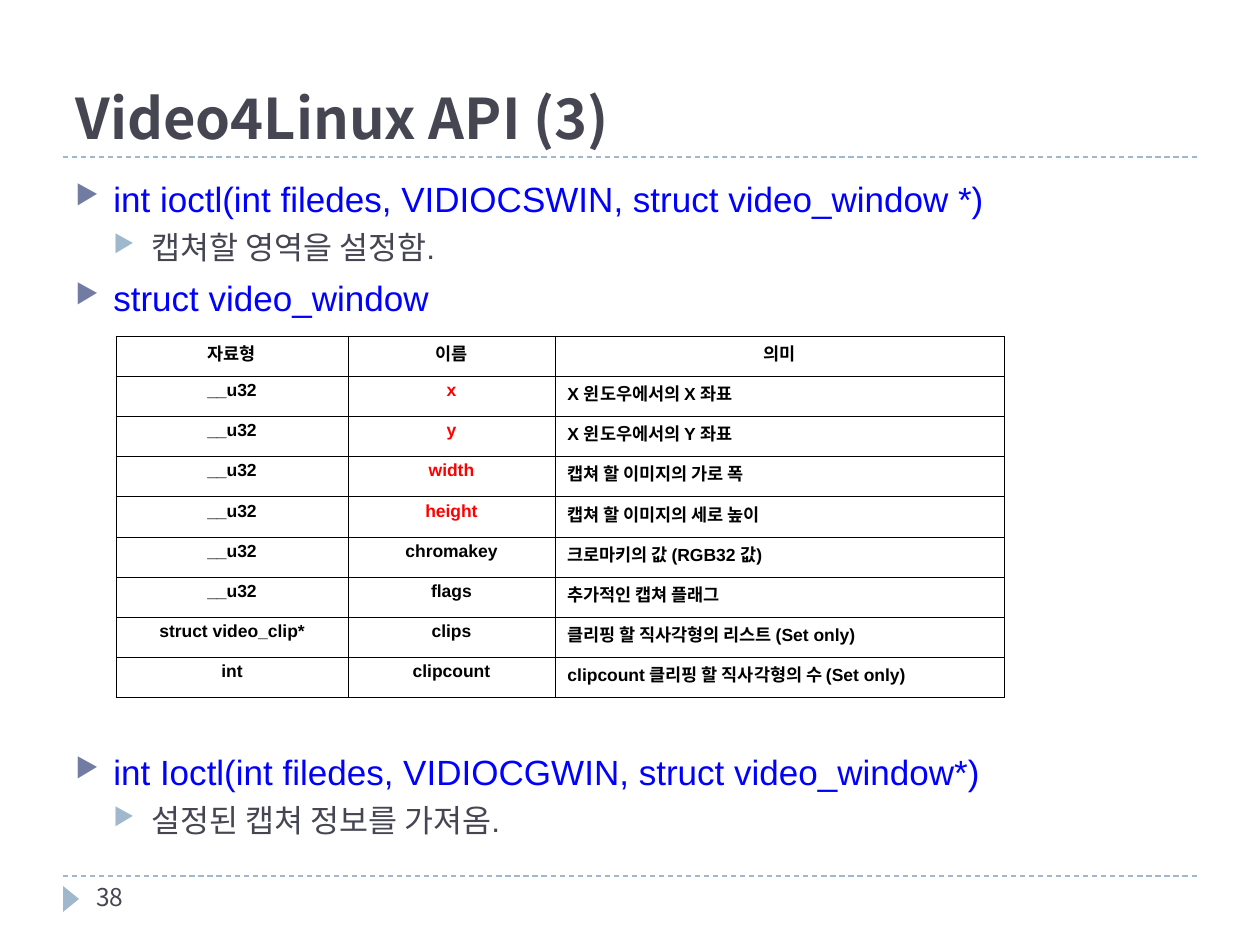
from lxml import etree
from pptx import Presentation
from pptx.dml.color import RGBColor
from pptx.enum.dml import MSO_LINE
from pptx.enum.shapes import MSO_CONNECTOR, MSO_SHAPE
from pptx.enum.text import MSO_ANCHOR, PP_ALIGN
from pptx.oxml.ns import qn
from pptx.util import Emu, Pt

CENTER, LEFT = PP_ALIGN.CENTER, PP_ALIGN.LEFT
TOP, BOTTOM = MSO_ANCHOR.TOP, MSO_ANCHOR.BOTTOM
STRAIGHT, TRIANGLE, DASH = MSO_CONNECTOR.STRAIGHT, MSO_SHAPE.ISOSCELES_TRIANGLE, MSO_LINE.DASH
SANS, KOREAN = "Arial", "Noto Sans CJK KR"
COLORS = {"ink": "464653", "code": "0000FF", "black": "000000", "red": "FF0000",
          "rule": "9FB8CD", "mark": "727CA3"}


def px(n):
    return Emu(round(n * 914400 / 126))


def rgb(name):
    return RGBColor.from_string(COLORS[name])


def node(parent, tag, **attrs):
    return etree.SubElement(parent, qn(tag), attrs)


def write(para, text, size=18, color="ink", font=SANS, bold=False,
          align=LEFT, before=0, spacing=None):
    run = para.add_run()
    run.text = text
    run.font.size, run.font.bold, run.font.name = Pt(size), bold, font
    run.font.color.rgb = rgb(color)
    node(run._r.get_or_add_rPr(), "a:ea", typeface=KOREAN)
    para.alignment = align
    para.space_before = Pt(before)
    if spacing:
        para.line_spacing = spacing


class Deck:
    def __init__(self, wide, high):
        self.file = Presentation()
        self.file.slide_width, self.file.slide_height = px(wide), px(high)
        self.slide = self.file.slides.add_slide(self.file.slide_layouts[6])
        self.shapes = self.slide.shapes

    def rule(self, x1, x2, y):
        line = self.shapes.add_connector(STRAIGHT, px(x1), px(y), px(x2), px(y))
        line.line.color.rgb = rgb("rule")
        line.line.width, line.line.dash_style = Pt(0.75), DASH
        node(line._element.spPr, "a:effectLst")

    def arrow(self, x, y, w, h):
        shape = self.shapes.add_shape(TRIANGLE, px(x), px(y), px(w), px(h))
        shape.rotation = 90
        shape.shadow.inherit = False
        shape.fill.solid()
        shape.fill.fore_color.rgb = rgb("rule")
        shape.line.fill.background()

    def box(self, x, y, w, h, anchor=TOP):
        frame = self.shapes.add_textbox(px(x), px(y), px(w), px(h)).text_frame
        frame.word_wrap, frame.vertical_anchor = True, anchor
        return frame

    def text(self, text, x, y, w, h, anchor=TOP, **style):
        write(self.box(x, y, w, h, anchor).paragraphs[0], text, **style)

    def bullets(self, items, x, y, w, h):
        frame = self.box(x, y, w, h)
        for i, (level, text, before) in enumerate(items):
            para = frame.add_paragraph() if i else frame.paragraphs[0]
            para.level = level
            props = para._p.get_or_add_pPr()
            step = px(38)
            props.set("marL", str(step * (level + 1)))
            props.set("indent", str(-step))
            tint = node(props, "a:buClr")
            node(tint, "a:srgbClr", val=COLORS["rule" if level else "mark"])
            node(props, "a:buSzPct", val="76000")
            node(props, "a:buChar", char="▶")
            write(para, text, size=18 if level else 20,
                  color="ink" if level else "code", before=before)

    def border(self, cell):
        props = cell._tc.get_or_add_tcPr()
        for side in ("a:lnL", "a:lnR", "a:lnT", "a:lnB"):
            line = node(props, side, w=str(Pt(0.45)))
            node(node(line, "a:solidFill"), "a:srgbClr", val=COLORS["black"])

    def table(self, rows, cols, x, y, h, red):
        grid = self.shapes.add_table(len(rows), len(cols), px(x), px(y),
                                     px(sum(cols)), px(h)).table
        grid.first_row = grid.horz_banding = False
        for col, width in zip(grid.columns, cols):
            col.width = px(width)
        for r, row in enumerate(rows):
            grid.rows[r].height = px(h / len(rows))
            for c, text in enumerate(row):
                cell = grid.cell(r, c)
                self.border(cell)
                cell.fill.background()
                write(cell.text_frame.paragraphs[0], text, size=10, bold=True,
                      color="red" if text in red else "black", spacing=0.9,
                      align=LEFT if r and c == 2 else CENTER)


def main():
    deck = Deck(1260, 945)

    # Frame: dashed rules and page marker
    for y in (876, 157):
        deck.rule(63, 1197, y)
    deck.arrow(58, 891, 26, 16)

    # Title and page number
    deck.text("Video4Linux API (3)", 63, 21, 1134, 136, anchor=BOTTOM,
              size=32, font=KOREAN, bold=True)
    deck.text("38", 84, 876, 273, 50, size=14, font=KOREAN)

    # Calls; the large space before the last one leaves room for the table
    deck.bullets([
        (0, "int ioctl(int filedes, VIDIOCSWIN, struct video_window *)", 0),
        (1, "캡쳐할 영역을 설정함.", 5),
        (0, "struct video_window", 6),
        (0, "int Ioctl(int filedes, VIDIOCGWIN, struct video_window*)", 247),
        (1, "설정된 캡쳐 정보를 가져옴.", 5),
    ], 63, 171, 1134, 680)

    # Fields of the struct
    deck.table([
        ("자료형", "이름", "의미"),
        ("__u32", "x", "X 윈도우에서의 X 좌표"),
        ("__u32", "y", "X 윈도우에서의 Y 좌표"),
        ("__u32", "width", "캡쳐 할 이미지의 가로 폭"),
        ("__u32", "height", "캡쳐 할 이미지의 세로 높이"),
        ("__u32", "chromakey", "크로마키의 값 (RGB32 값)"),
        ("__u32", "flags", "추가적인 캡쳐 플래그"),
        ("struct video_clip*", "clips", "클리핑 할 직사각형의 리스트 (Set only)"),
        ("int", "clipcount", "clipcount 클리핑 할 직사각형의 수 (Set only)"),
    ], (232, 207, 449), 116, 336, 362, red=("x", "y", "width", "height"))

    deck.file.save("out.pptx")


if __name__ == "__main__":
    main()
